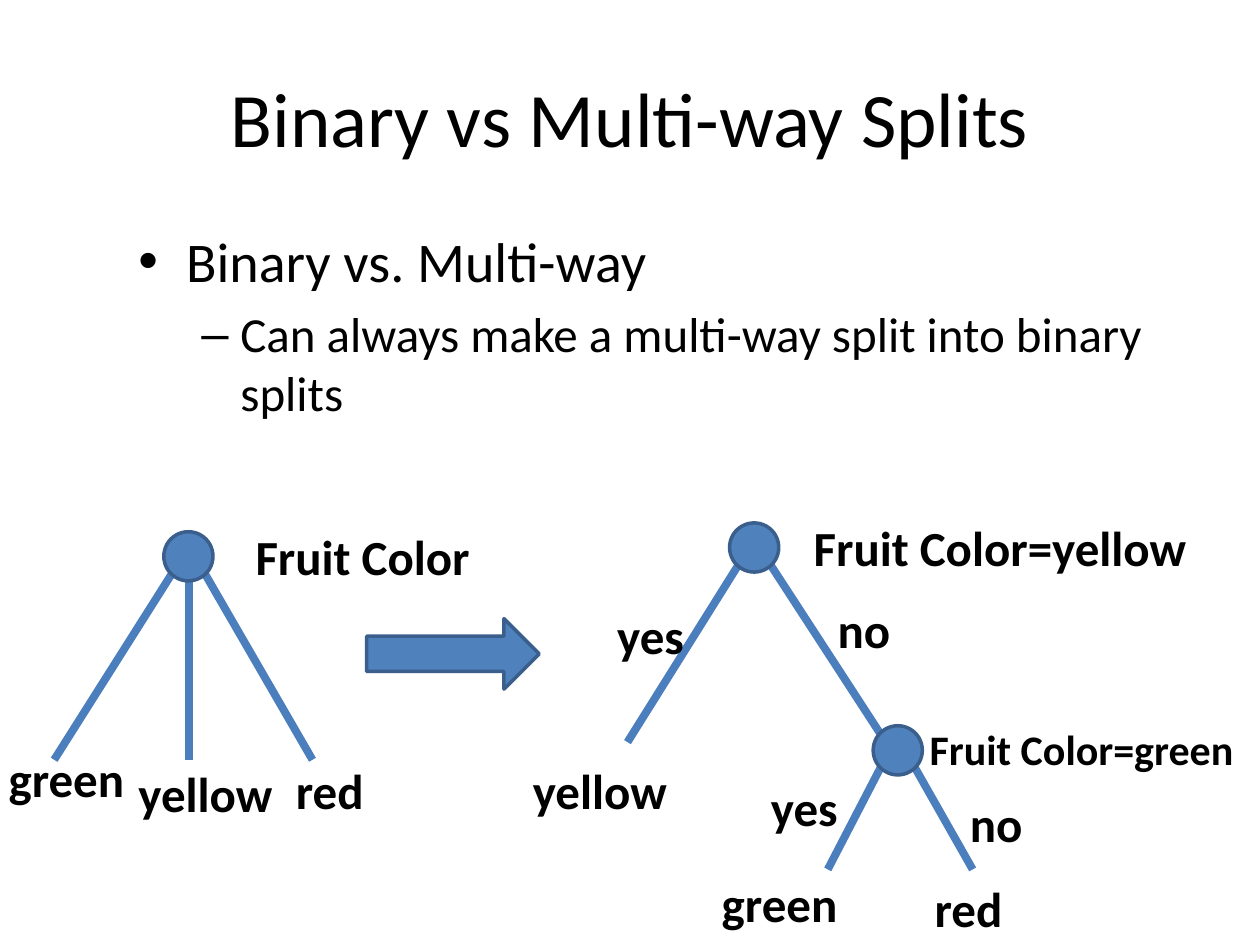
from lxml import etree
from pptx import Presentation
from pptx.dml.color import RGBColor
from pptx.enum.shapes import MSO_CONNECTOR, MSO_SHAPE
from pptx.enum.text import MSO_ANCHOR, PP_ALIGN
from pptx.oxml.ns import qn
from pptx.util import Pt

PX = 9144  # EMU per px, 100 px to the inch
BLACK = RGBColor(0, 0, 0)
BLUE = RGBColor(0x4F, 0x81, 0xBD)
EDGE = RGBColor(0x3A, 0x5F, 0x8C)
LINK = RGBColor(0x4B, 0x7E, 0xBC)
FONT = "Calibri"
LEFT, CENTER = PP_ALIGN.LEFT, PP_ALIGN.CENTER
TOP, MIDDLE = MSO_ANCHOR.TOP, MSO_ANCHOR.MIDDLE
OVAL, ARROW = MSO_SHAPE.OVAL, MSO_SHAPE.RIGHT_ARROW
STRAIGHT = MSO_CONNECTOR.STRAIGHT
NODE = 39  # node diameter


def emu(*vals):
    return [v * PX for v in vals]


def style(par, text, size, bold=False, align=LEFT):
    par.alignment = align
    run = par.add_run()
    run.text = text
    font = run.font
    font.name, font.size, font.bold = FONT, Pt(size), bold
    font.color.rgb = BLACK


def add_text(slide, text, x, y, w, h=57, size=28, bold=True,
             align=LEFT, anchor=TOP):
    frame = slide.shapes.add_textbox(*emu(x, y, w, h)).text_frame
    frame.word_wrap = True
    frame.vertical_anchor = anchor
    style(frame.paragraphs[0], text, size, bold, align)
    return frame


def add_shape(slide, kind, x, y, w, h):
    shape = slide.shapes.add_shape(kind, *emu(x, y, w, h))
    shape.shadow.inherit = False
    shape.fill.solid()
    shape.fill.fore_color.rgb = BLUE
    shape.line.color.rgb = EDGE
    shape.line.width = Pt(2)


def add_line(slide, x1, y1, x2, y2):
    line = slide.shapes.add_connector(STRAIGHT, *emu(x1, y1, x2, y2))
    line.line.color.rgb = LINK
    line.line.width = Pt(4.5)
    etree.SubElement(line._element.spPr, qn("a:effectLst"))


def add_bullet(par, mark, indent, hang):
    props = par._p.get_or_add_pPr()
    props.set("marL", str(indent * PX))
    props.set("indent", str(-hang * PX))
    space = etree.SubElement(props, qn("a:spcBef"))
    etree.SubElement(space, qn("a:spcPct")).set("val", "20000")
    etree.SubElement(props, qn("a:buFont")).set("typeface", "Arial")
    etree.SubElement(props, qn("a:buChar")).set("char", mark)


def add_title(slide, x, y, w, h):
    add_text(slide, "Binary vs Multi-way Splits", x, y, w, h, size=44,
             bold=False, align=CENTER, anchor=MIDDLE)


def add_body(slide, x, y, w, h):
    frame = add_text(slide, "Binary vs. Multi-way", x, y, w, h, size=32,
                     bold=False)
    add_bullet(frame.paragraphs[0], "•", 38, 38)
    sub = frame.add_paragraph()
    sub.level = 1
    style(sub, "Can always make a multi-way split into binary splits", 28)
    add_bullet(sub, "–", 81, 31)


def add_tree(slide, x, y, nodes, lines, labels):
    """Draw one tree; all parts are offsets from its corner."""
    for x1, y1, x2, y2 in lines:
        add_line(slide, x + x1, y + y1, x + x2, y + y2)
    for dx, dy in nodes:
        add_shape(slide, OVAL, x + dx, y + dy, NODE, NODE)
    for text, dx, dy, w, size in labels:
        add_text(slide, text, x + dx, y + dy, w, size=size)


def add_multi(slide, x, y):
    add_tree(
        slide, x, y,
        nodes=[(130, 9)],
        lines=[(136, 43, 43, 190), (150, 49, 150, 190), (163, 43, 248, 190)],
        labels=[("Fruit Color", 193, 0, 200, 28),
                ("green", -3, 176, 120, 28),
                ("yellow", 100, 188, 135, 28),
                ("red", 225, 186, 80, 28)])


def add_binary(slide, x, y):
    add_tree(
        slide, x, y,
        nodes=[(166, 9), (280, 170)],
        lines=[(177, 36, 85, 183), (199, 43, 290, 183),
               (286, 203, 244, 284), (313, 203, 359, 284)],
        labels=[("Fruit Color=yellow", 223, 0, 330, 28),
                ("yes", 67, 70, 80, 28),
                ("no", 242, 65, 80, 28),
                ("yellow", 0, 193, 135, 28),
                ("Fruit Color=green", 315, 163, 272, 24),
                ("yes", 189, 206, 80, 28),
                ("no", 347, 219, 80, 28),
                ("green", 150, 282, 120, 28),
                ("red", 319, 286, 80, 28)])


def main():
    deck = Presentation()
    deck.slide_width, deck.slide_height = emu(1000, 750)
    slide = deck.slides.add_slide(deck.slide_layouts[6])

    # Heading and bullets
    add_title(slide, 50, 30, 900, 125)
    add_body(slide, 100, 175, 900, 220)

    # Multi-way tree becomes binary tree
    add_multi(slide, 0, 413)
    add_shape(slide, ARROW, 291, 491, 137, 56)
    add_binary(slide, 413, 406)

    deck.save("out.pptx")


if __name__ == "__main__":
    main()
